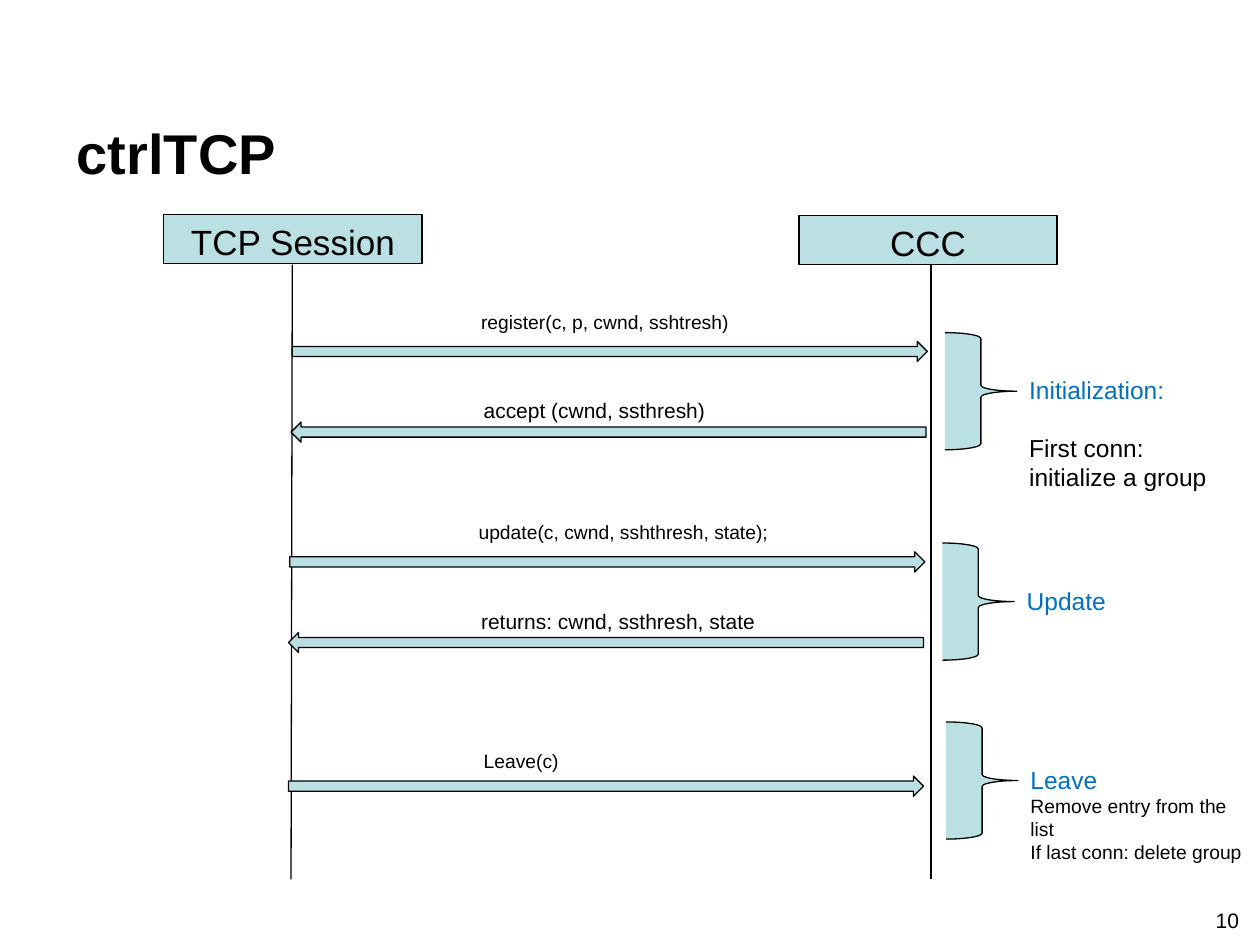
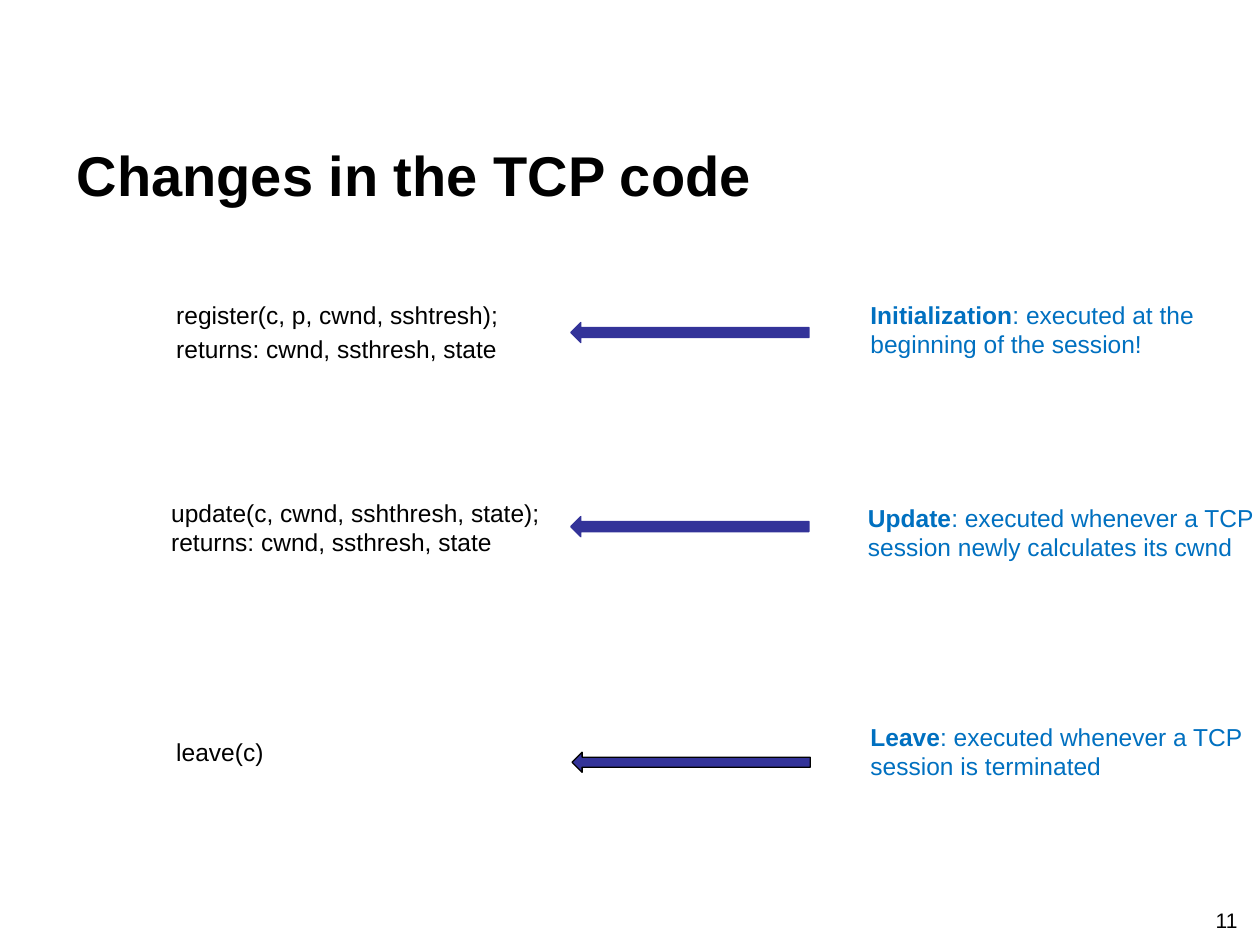
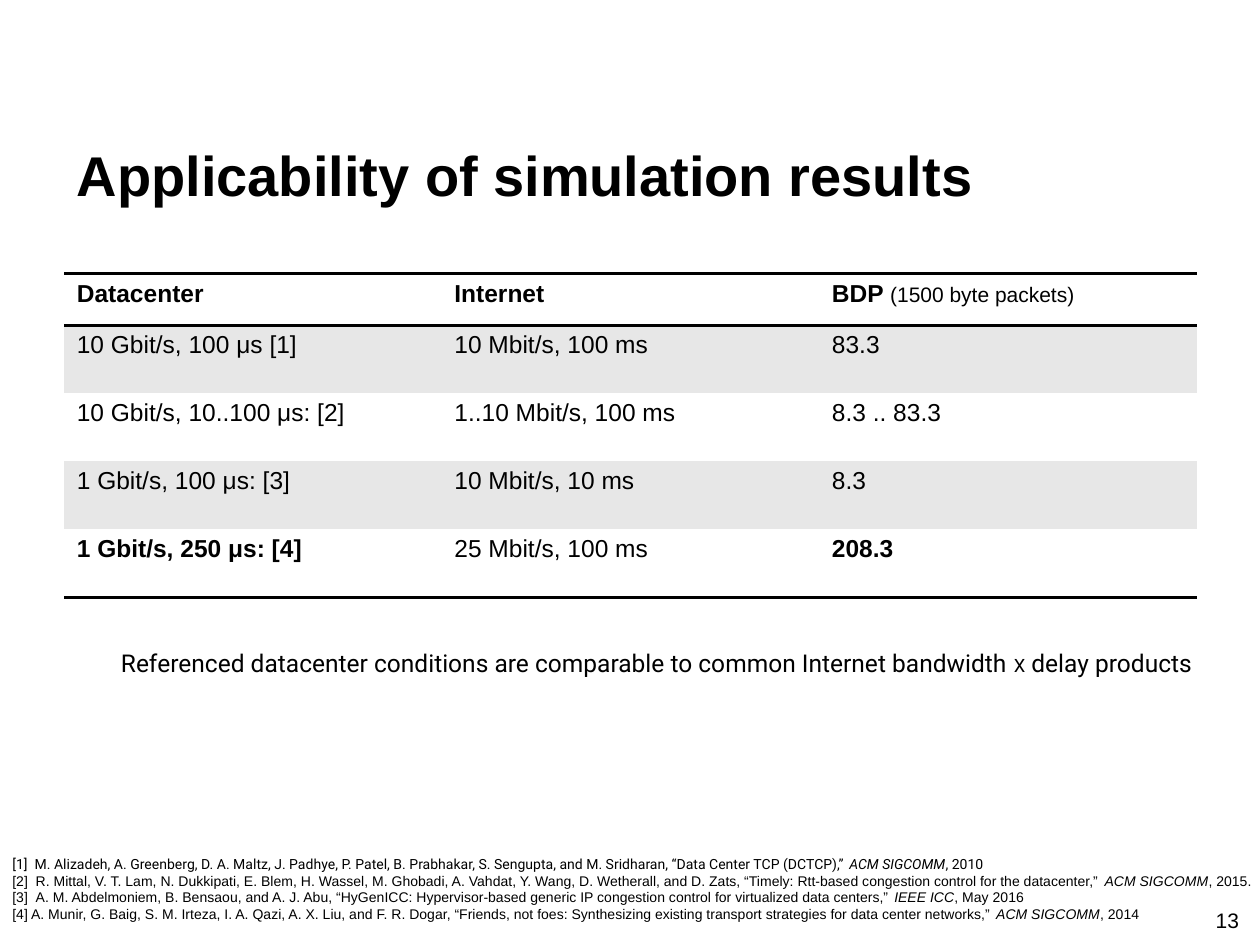
import dataclasses

import pptx
import pptx.dml.color
import pptx.enum.shapes
import pptx.enum.text
import pptx.oxml
import pptx.oxml.ns
import pptx.util

Inches = pptx.util.Inches
Pt = pptx.util.Pt
SHAPE = pptx.enum.shapes.MSO_SHAPE
ALIGN = pptx.enum.text.PP_ALIGN
ANCHOR = pptx.enum.text.MSO_ANCHOR


@dataclasses.dataclass(frozen=True)
class Theme:
    """Colours, fonts, type sizes and line widths of the deck."""
    black: str = "000000"
    white: str = "FFFFFF"
    teal: str = "BBE0E3"
    blue: str = "0070C0"
    navy: str = "333399"
    band: str = "E7E7E7"
    font: str = "Arial"
    alt_font: str = "Roboto"
    title: float = 32
    head: float = 20
    body: float = 14
    note: float = 12
    small: float = 11
    sign: float = 10.5
    ref: float = 8
    line: float = 0.75
    rule: float = 2


T = Theme()


def rgb(value):
    """Turn a hex string into a colour."""
    return pptx.dml.color.RGBColor.from_string(value)


def write(tf, *runs, size=T.body, color=T.black, bold=False, italic=False,
          font=T.font, align=ALIGN.LEFT, before=0):
    """Write one paragraph; a run is a string or (string, overrides)."""
    p = tf.paragraphs[0]
    if p.runs:
        p = tf.add_paragraph()
    p.alignment = align
    p.space_before = Pt(before)
    base = dict(size=size, color=color, bold=bold, italic=italic, font=font)
    for run in runs:
        text, changes = (run, {}) if isinstance(run, str) else run
        fmt = {**base, **changes}
        r = p.add_run()
        r.text = text
        r.font.size = Pt(fmt["size"])
        r.font.color.rgb = rgb(fmt["color"])
        r.font.bold = fmt["bold"]
        r.font.italic = fmt["italic"]
        r.font.name = fmt["font"]


def add_text(slide, x, y, w, h, *runs, wrap=True, **fmt):
    """Add a text box with a first paragraph and return its text frame."""
    tf = slide.shapes.add_textbox(Inches(x), Inches(y), Inches(w), Inches(h)).text_frame
    tf.word_wrap = wrap
    if runs:
        write(tf, *runs, **fmt)
    return tf


def add_shape(slide, kind, x, y, w, h, fill=T.teal, line=T.black):
    """Add a filled, outlined preset shape."""
    sp = slide.shapes.add_shape(kind, Inches(x), Inches(y), Inches(w), Inches(h))
    sp.shadow.inherit = False
    sp.fill.solid()
    sp.fill.fore_color.rgb = rgb(fill)
    sp.line.color.rgb = rgb(line)
    sp.line.width = Pt(T.line)
    return sp


def add_lifeline(slide, x1, x2, y1=2.1, y2=6.98):
    """Add the line that runs down from a participant."""
    cxn = slide.shapes.add_connector(pptx.enum.shapes.MSO_CONNECTOR.STRAIGHT,
                                     Inches(x1), Inches(y1), Inches(x2), Inches(y2))
    cxn.line.color.rgb = rgb(T.black)
    cxn.line.width = Pt(T.line)
    cxn._element.spPr.append(pptx.oxml.parse_xml(
        "<a:effectLst %s/>" % pptx.oxml.ns.nsdecls("a")))


def add_participant(slide, name, x, y):
    """Add the labelled box at the head of a lifeline."""
    sp = add_shape(slide, SHAPE.RECTANGLE, x, y, 2.05, 0.39)
    sp.text_frame.vertical_anchor = ANCHOR.TOP
    write(sp.text_frame, name, size=T.head, align=ALIGN.CENTER)


def add_phase(slide, x, y, request, request_at, reply=None):
    """Add a request arrow, its optional reply 0.64 lower, and their labels."""
    label_x, label_y = request_at
    add_shape(slide, SHAPE.RIGHT_ARROW, x, y, 5.04, 0.16)
    add_text(slide, label_x, label_y, 4.33, 0.29, request, size=T.small)
    if reply:
        add_shape(slide, SHAPE.LEFT_ARROW, x - 0.01, y + 0.64, 5.04, 0.16)
        add_text(slide, label_x + 0.02, label_y + 0.7, 4.33, 0.3, reply, size=T.note)


def add_brace(slide, x, y, name, w, h):
    """Add a brace with its phase name and return the name's text frame."""
    add_shape(slide, SHAPE.RIGHT_BRACE, x, y, 0.57, 0.93)
    return add_text(slide, x + 0.57, y + 0.29, w, h, name, color=T.blue)


def set_borders(cell, **widths):
    """Draw the named cell edges (T, B) in black and clear the others."""
    tc_pr = cell._tc.get_or_add_tcPr()
    for side in "LRTB":
        width = widths.get(side)
        line = ('<a:solidFill><a:srgbClr val="%s"/></a:solidFill>' % T.black
                if width else "<a:noFill/>")
        tc_pr.append(pptx.oxml.parse_xml('<a:ln%s %s w="%d">%s</a:ln%s>' % (
            side, pptx.oxml.ns.nsdecls("a"), Pt(width or 0), line, side)))


def add_table(slide, rows, x, y, w, heights):
    """Add a banded table with rules around its header and at its foot."""
    cols = len(rows[0])
    table = slide.shapes.add_table(len(rows), cols, Inches(x), Inches(y),
                                   Inches(w), Inches(sum(heights))).table
    table.first_row = table.horz_banding = False
    last = len(rows) - 1
    for i, row in enumerate(rows):
        table.rows[i].height = Inches(heights[i])
        for j, runs in enumerate(row):
            cell = table.cell(i, j)
            set_borders(cell, T=T.rule if i in (0, 1) else None,
                        B=T.rule if i in (0, last) else None)
            cell.fill.solid()
            cell.fill.fore_color.rgb = rgb(T.band if i % 2 else T.white)
            write(cell.text_frame, *runs,
                  bold=i == 0 or (i == last and j != 1))


def new_slide(prs, title, number, title_y=0.76):
    """Add a title-only slide with its title and page number."""
    slide = prs.slides.add_slide(prs.slide_layouts[5])
    sp = slide.shapes.title
    sp.left, sp.top, sp.width, sp.height = map(Inches, (0.51, title_y, 8.99, 1.25))
    sp.text_frame.vertical_anchor = ANCHOR.MIDDLE
    sp.text_frame.auto_size = pptx.enum.text.MSO_AUTO_SIZE.NONE
    write(sp.text_frame, title, size=T.title, bold=True)
    add_text(slide, 9.55, 7.15, 0.41, 0.3, str(number), wrap=False, size=T.note)
    return slide


def sequence_slide(prs):
    """Build the message sequence between a session and the CCC."""
    slide = new_slide(prs, "ctrlTCP", 10, title_y=0.58)
    add_participant(slide, "TCP Session", 1.3, 1.7)
    add_participant(slide, "CCC", 6.34, 1.71)
    add_lifeline(slide, 2.32, 2.31)
    add_lifeline(slide, 7.39, 7.39)

    add_phase(slide, 2.32, 2.71, "register(c, p, cwnd, sshtresh)", (3.72, 2.41),
              "accept (cwnd, ssthresh)")
    add_phase(slide, 2.3, 4.38, "update(c, cwnd, sshthresh, state);", (3.7, 4.08),
              "returns: cwnd, ssthresh, state")
    add_phase(slide, 2.29, 6.16, "Leave(c)", (3.74, 5.9))

    tf = add_brace(slide, 7.5, 2.64, "Initialization:", 1.73, 1.04)
    write(tf, "First conn:", before=16)
    write(tf, "initialize a group")
    add_brace(slide, 7.48, 4.31, "Update", 1.73, 0.34)
    tf = add_brace(slide, 7.51, 5.73, "Leave", 1.9, 0.89)
    write(tf, "Remove entry from the list", size=T.small)
    write(tf, "If last conn: delete group", size=T.small)


def code_slide(prs):
    """Build the list of calls, each with an arrow from its explanation."""
    slide = new_slide(prs, "Changes in the TCP code", 11)
    calls = [
        (1.3, 2.33, 0.64, ["register(c, p, cwnd, sshtresh);",
                           "returns: cwnd, ssthresh, state"]),
        (1.26, 3.9, 0.64, ["update(c, cwnd, sshthresh, state); "
                           "returns: cwnd, ssthresh, state"]),
        (1.3, 5.8, 0.39, ["leave(c)"]),
    ]
    reasons = [
        (6.81, 2.33, "Initialization", ": executed at the beginning of the session!"),
        (6.79, 3.94, "Update",
         ": executed whenever a TCP session newly calculates its cwnd"),
        (6.81, 5.68, "Leave", ": executed whenever a TCP session is terminated"),
    ]
    arrows = [(4.53, 2.56, T.navy), (4.53, 4.1, T.navy), (4.54, 5.97, T.black)]
    gap = T.body * 0.2
    for x, y, h, lines in calls:
        tf = add_text(slide, x, y, 3.48, h)
        for line in lines:
            write(tf, line, before=gap)
    for x, y, name, reason in reasons:
        add_text(slide, x, y, 3.48, 0.64, (name, {"bold": True}), reason,
                 color=T.blue, before=gap)
    for x, y, line in arrows:
        add_shape(slide, SHAPE.LEFT_ARROW, x, y, 1.89, 0.16, T.navy, line)


def results_slide(prs):
    """Build the comparison table with its conclusion and references."""
    slide = new_slide(prs, "Applicability of simulation results", 13)
    rows = [
        [["Datacenter"], ["Internet"],
         ["BDP ", ("(1500 byte packets)", {"size": T.note, "bold": False})]],
        [["10 Gbit/s, 100 μs [1]"], ["10 Mbit/s, 100 ms"], ["83.3"]],
        [["10 Gbit/s, 10..100 μs: [2]"], ["1..10 Mbit/s, 100 ms"], ["8.3 .. 83.3"]],
        [["1 Gbit/s, 100 μs: [3]"], ["10 Mbit/s, 10 ms"], ["8.3"]],
        [["1 Gbit/s, 250 μs: [4]"], ["25 Mbit/s, 100 ms"], ["208.3"]],
    ]
    add_table(slide, rows, 0.51, 2.17, 8.99, [0.41] + [0.54] * 4)
    add_text(slide, 0.35, 5.09, 9.72, 0.34,
             "Referenced datacenter conditions are comparable to common "
             "Internet bandwidth ", ("X", {"size": T.sign}), " delay products",
             font=T.alt_font, align=ALIGN.CENTER)

    references = [
        ("[1] \u00a0M. Alizadeh, A. Greenberg, D. A. Maltz, J. Padhye, P. Patel, "
         "B. Prabhakar, S. Sengupta, and M. Sridharan, “Data Center TCP (DCTCP),” ",
         "ACM SIGCOMM", ", 2010", T.alt_font),
        ("[2] \u00a0R. Mittal, V. T. Lam, N. Dukkipati, E. Blem, H. Wassel, "
         "M. Ghobadi, A. Vahdat, Y. Wang, D. Wetherall, and D. Zats, “Timely: "
         "Rtt-based congestion control for the datacenter,” ",
         "ACM SIGCOMM", ", 2015.", T.font),
        ("[3] \u00a0A. M. Abdelmoniem, B. Bensaou, and A. J. Abu, “HyGenICC: "
         "Hypervisor-based generic IP congestion control for virtualized data "
         "centers,” ", "IEEE ICC", ", May 2016", T.font),
        ("[4] A. Munir, G. Baig, S. M. Irteza, I. A. Qazi, A. X. Liu, and "
         "F. R. Dogar, “Friends, not foes: Synthesizing existing transport "
         "strategies for data center networks,” ",
         "ACM SIGCOMM", ", 2014", T.font),
    ]
    tf = add_text(slide, 0, 6.74, 10, 0.64)
    tf.margin_right = 0
    for source, venue, year, font in references:
        write(tf, source, (venue, {"italic": True}), year, size=T.ref, font=font)


def main():
    """Build and save the deck."""
    prs = pptx.Presentation()
    prs.slide_width, prs.slide_height = Inches(10), Inches(7.5)
    sequence_slide(prs)
    code_slide(prs)
    results_slide(prs)
    prs.save("out.pptx")


main()
